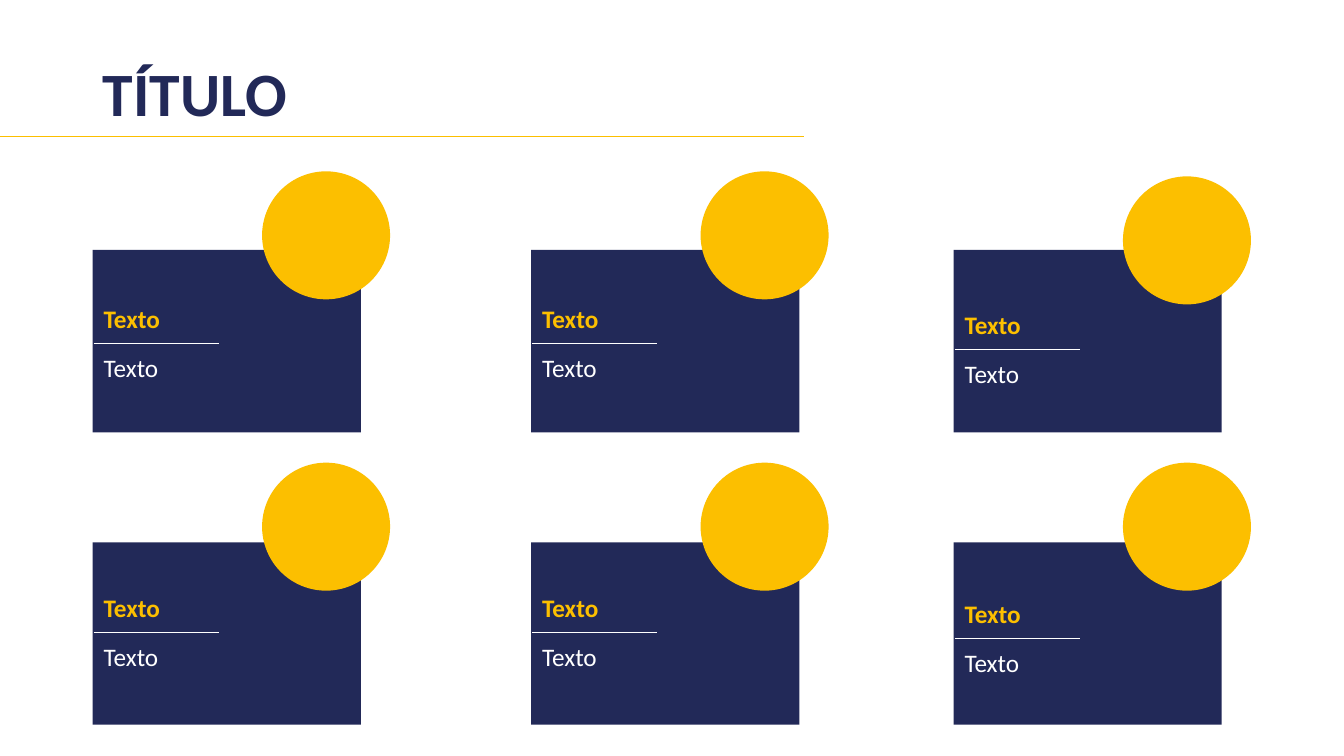
from itertools import product
from pptx import Presentation
from pptx.dml.color import RGBColor
from pptx.enum.shapes import MSO_CONNECTOR, MSO_SHAPE
from pptx.enum.text import MSO_ANCHOR, MSO_AUTO_SIZE, PP_ALIGN
from pptx.oxml.xmlchemy import OxmlElement
from pptx.util import Inches, Pt

HUES = {"navy": "222958", "gold": "FCBF00", "white": "FFFFFF"}
FONT = "Calibri"
COLS, ROWS = 40, 22.5


def hue(name):
    return RGBColor.from_string(HUES[name])


def write(para, text, size=18, color="white", bold=False, lead=None, gap=0):
    para.alignment = PP_ALIGN.LEFT
    para.line_spacing = lead
    para.space_before = Pt(gap)
    run = para.add_run()
    run.text = text
    run.font.name = FONT
    run.font.size = Pt(size)
    run.font.bold = bold
    run.font.color.rgb = hue(color)


class Deck:
    def __init__(self):
        self.show = Presentation()
        self.show.slide_width = Inches(13.33)
        self.show.slide_height = Inches(7.5)
        self.col = self.show.slide_width / COLS
        self.row = self.show.slide_height / ROWS
        self.slide = self.show.slides.add_slide(self.show.slide_layouts[5])
        self.shapes = self.slide.shapes

    def grid(self, x, y, w, h):
        return (round(x * self.col), round(y * self.row),
                round(w * self.col), round(h * self.row))

    def title(self, text, *box):
        head = self.shapes.title
        head.left, head.top, head.width, head.height = self.grid(*box)
        frame = head.text_frame
        frame.vertical_anchor = MSO_ANCHOR.MIDDLE
        write(frame.paragraphs[0], text, size=44, color="navy", bold=True, lead=0.9)

    def shape(self, kind, color, *box):
        form = self.shapes.add_shape(kind, *self.grid(*box))
        form.shadow.inherit = False
        form.fill.solid()
        form.fill.fore_color.rgb = hue(color)
        form.line.fill.background()

    def rule(self, x, y, size, color, weight):
        left, top, width, _ = self.grid(x, y, size, 0)
        line = self.shapes.add_connector(
            MSO_CONNECTOR.STRAIGHT, left, top, left + width, top)
        line.line.color.rgb = hue(color)
        line.line.width = Pt(weight)
        line._element.spPr.append(OxmlElement("a:effectLst"))

    def label(self, head, body, *box):
        frame = self.shapes.add_textbox(*self.grid(*box)).text_frame
        frame.word_wrap = True
        frame.auto_size = MSO_AUTO_SIZE.SHAPE_TO_FIT_TEXT
        form = {"lead": Pt(25), "gap": 10}
        write(frame.paragraphs[0], head, color="gold", bold=True, **form)
        write(frame.add_paragraph(), body, **form)

    def card(self, x, top, disc, text):
        self.shape(MSO_SHAPE.RECTANGLE, "navy", x, top, 7.98, 5.43)
        self.shape(MSO_SHAPE.OVAL, "gold", x + 5.04, disc, 3.81, 3.81)
        self.label("Texto", "Texto", x + 0.03, text, 7.56, 2.82)
        self.rule(x + 0.03, text + 1.48, 3.72, "white", 0.5)


def main():
    deck = Deck()
    deck.title("TÍTULO", 2.76, 0.96, 34.5, 3.81)
    rows = [(7.44, 5.1, 8.73, 0.15), (16.14, 13.77, 17.34, 0)]
    cols = [(2.76, False), (15.81, False), (28.38, True)]
    for (top, disc, text, drop), (x, low) in product(rows, cols):
        deck.card(x, top, disc + drop * low, text + 0.18 * low)
    deck.rule(0, 4.05, 23.94, "gold", 0.75)
    deck.show.save("out.pptx")


if __name__ == "__main__":
    main()
